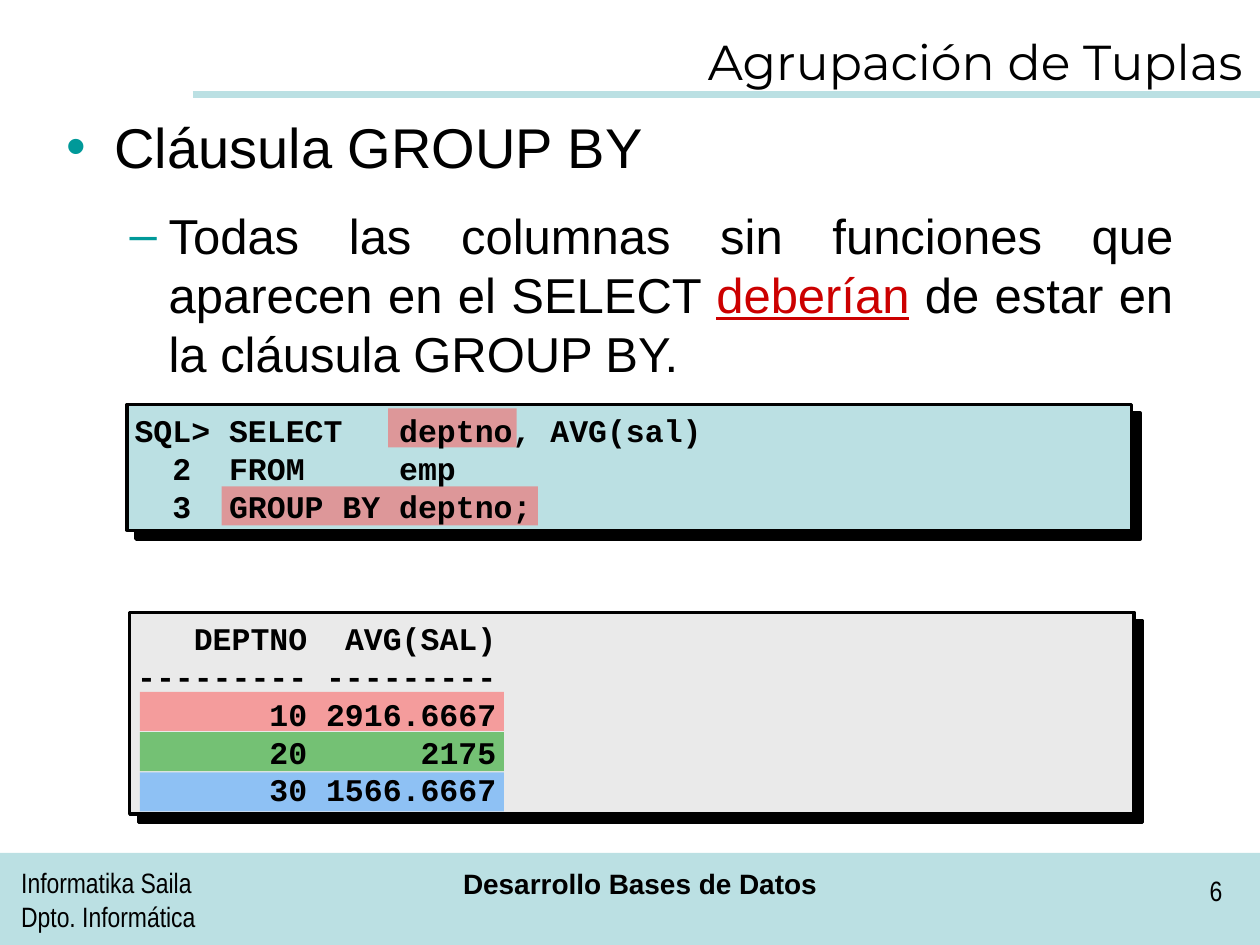
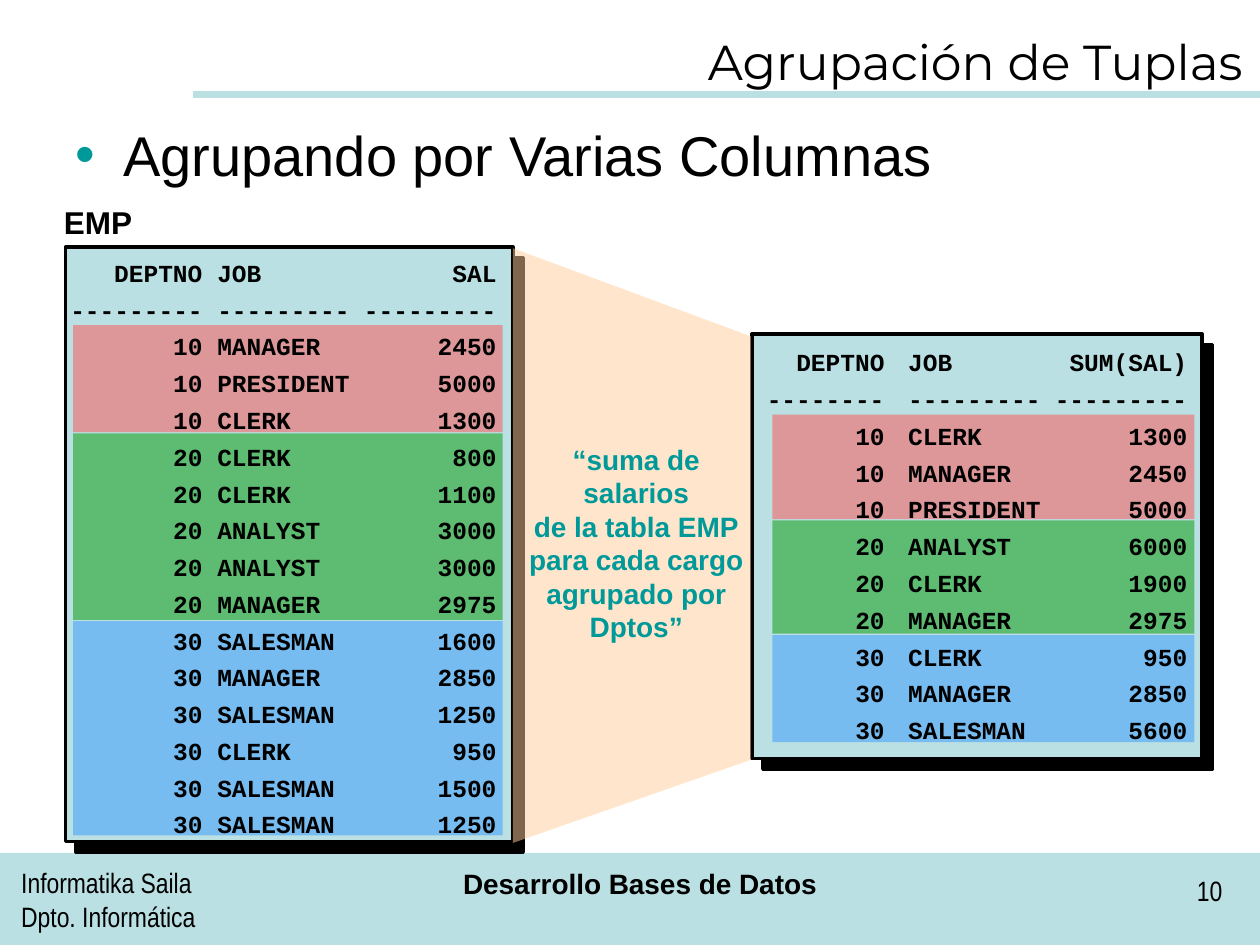
from lxml import etree
from pptx import Presentation
from pptx import util as u
from pptx.dml.color import RGBColor
from pptx.enum import shapes, text
from pptx.oxml import ns

# The slide is a grid of 10 columns by 7.5 rows of square cells
COLS, ROWS = 10, 7.5
CELL = u.Inches(1)
COLOURS = {
    "ink": "000000", "band": "BBE0E3", "result": "EAEAEA", "accent": "009999",
    "alert": "CC0000", "funnel": "FFCC99",
    "dept10": "FF5050", "dept20": "009900", "dept30": "3399FF",
}
SANS, NARROW, MONO, TITLE = "Arial", "Arial Narrow", "Courier New", "Montserrat"
DEPTS = ("dept10", "dept20", "dept30")
LEFT, CENTER = text.PP_ALIGN.LEFT, text.PP_ALIGN.CENTER
RIGHT, JUSTIFY = text.PP_ALIGN.RIGHT, text.PP_ALIGN.JUSTIFY
TOP, MIDDLE = text.MSO_ANCHOR.TOP, text.MSO_ANCHOR.MIDDLE

# Query, result and table rows; a tab moves to the next column stop
QUERY = ["SQL>\tSELECT\tdeptno, AVG(sal)", "\t2\tFROM\temp", "\t3\tGROUP BY\tdeptno;"]
QUERY_STOPS = [(3, "r"), (5, "l"), (14, "l")]
AVERAGES = [("DEPTNO", "AVG(SAL)"), ("-" * 9, "-" * 9),
            ("10", "2916.6667"), ("20", "2175"), ("30", "1566.6667")]
AVERAGE_STOPS = [(9, "r"), (19, "r")]
EMP = [
    ("DEPTNO", "JOB", "SAL"), ("-" * 9, "-" * 9, "-" * 9),
    ("10", "MANAGER", "2450"), ("10", "PRESIDENT", "5000"), ("10", "CLERK", "1300"),
    ("20", "CLERK", "800"), ("20", "CLERK", "1100"), ("20", "ANALYST", "3000"),
    ("20", "ANALYST", "3000"), ("20", "MANAGER", "2975"),
    ("30", "SALESMAN", "1600"), ("30", "MANAGER", "2850"), ("30", "SALESMAN", "1250"),
    ("30", "CLERK", "950"), ("30", "SALESMAN", "1500"), ("30", "SALESMAN", "1250"),
]
EMP_STOPS = [(9, "r"), (10, "l"), (29, "r")]
SUMS = [
    ("DEPTNO", "JOB", "SUM(SAL)"), ("-" * 8, "-" * 9, "-" * 9),
    ("10", "CLERK", "1300"), ("10", "MANAGER", "2450"), ("10", "PRESIDENT", "5000"),
    ("20", "ANALYST", "6000"), ("20", "CLERK", "1900"), ("20", "MANAGER", "2975"),
    ("30", "CLERK", "950"), ("30", "MANAGER", "2850"), ("30", "SALESMAN", "5600"),
]
SUM_STOPS = [(19, "r")]


def cells(*lengths):
    return [round(n * CELL) for n in lengths]


def rgb(name):
    return RGBColor.from_string(COLOURS[name])


def sub(parent, tag, **attrs):
    return etree.SubElement(parent, ns.qn(tag), {k: str(v) for k, v in attrs.items()})


def paint(sp, fill, alpha=None):
    """Fill a shape, without line or shadow."""
    sp.shadow.inherit = False
    sp.line.fill.background()
    sp.fill.solid()
    sp.fill.fore_color.rgb = rgb(fill)
    if alpha:
        clr = sp._element.spPr.find(ns.qn("a:solidFill"))[0]
        sub(clr, "a:alpha", val=alpha * 1000)


def add_rect(s, box, fill, alpha=None):
    sp = s.shapes.add_shape(shapes.MSO_SHAPE.RECTANGLE, *cells(*box))
    paint(sp, fill, alpha)
    return sp


def add_panel(s, box, fill, distance):
    """Outlined box with a hard black shadow to the lower right."""
    sp = add_rect(s, box, fill)
    sp.line.color.rgb = rgb("ink")
    sp.line.width = u.Pt(2)
    effects = sp._element.spPr.find(ns.qn("a:effectLst"))
    shadow = sub(effects, "a:outerShdw", dist=u.Pt(distance), dir=45 * 60000,
                 algn="ctr", rotWithShape=0)
    sub(shadow, "a:srgbClr", val=COLOURS["ink"])


def add_bands(s, left, top, width, heights):
    """One translucent band per department, stacked with a thin gap."""
    for dept, height in zip(DEPTS, heights):
        add_rect(s, (left, top, width, height), dept, 50)
        top += height + 0.01


def add_frame(s, box, anchor=TOP):
    tf = s.shapes.add_textbox(*cells(*box)).text_frame
    tf.word_wrap = True
    tf.vertical_anchor = anchor
    return tf


def add_tabs(p, stops, size):
    """Tab stops given in characters of the monospaced font (0.6 em wide)."""
    tabs = sub(p._p.get_or_add_pPr(), "a:tabLst")
    for chars, align in stops:
        sub(tabs, "a:tab", pos=u.Pt(chars * size * 0.6), algn=align)


def add_text(s, box, lines, size, font=SANS, bold=False, colour="ink", align=LEFT,
             anchor=TOP, spacing=None, stops=()):
    tf = add_frame(s, box, anchor)
    if stops:
        tf.margin_right = 0
    for i, line in enumerate(lines):
        p = tf.paragraphs[0] if i == 0 else tf.add_paragraph()
        p.add_run().text = line
        if stops:
            add_tabs(p, stops, size)
        p.alignment = align
        if spacing:
            p.line_spacing = spacing
        p.font.size, p.font.name, p.font.bold = u.Pt(size), font, bold
        p.font.color.rgb = rgb(colour)


def add_listing(s, box, rows, size, stops=(), **style):
    add_text(s, box, rows, size, MONO, True, stops=stops, **style)


def columns(rows):
    """Rows whose first column also hangs on a tab stop."""
    return ["\t" + "\t".join(row) for row in rows]


def add_bullet(p, runs, char, size, margin, indent, gap, align=LEFT):
    pPr = p._p.get_or_add_pPr()
    pPr.set("marL", str(u.Inches(margin)))
    pPr.set("indent", str(u.Inches(-indent)))
    sub(sub(pPr, "a:buClr"), "a:srgbClr", val=COLOURS["accent"])
    sub(pPr, "a:buFont", typeface=SANS)
    sub(pPr, "a:buChar", char=char)
    p.alignment = align
    p.space_before = p.space_after = u.Pt(gap)
    p.font.size, p.font.name = u.Pt(size), SANS
    for words, colour in runs:
        r = p.add_run()
        r.text = words
        r.font.color.rgb = rgb(colour)
        if colour == "alert":
            r.font.underline = True


def add_heading(s, box, words):
    tf = add_frame(s, box)
    add_bullet(tf.paragraphs[0], [(words, "ink")], "•", 32, 0.38, 0.38, 8)
    return tf


def add_base(prs, number):
    """Title, rule and footer shared by the slides."""
    s = prs.slides.add_slide(prs.slide_layouts[6])
    add_rect(s, (0, 6.77, COLS, ROWS - 6.77), "band")
    rule = s.shapes.add_connector(shapes.MSO_CONNECTOR.STRAIGHT,
                                  *cells(1.53, 0.75, COLS, 0.75))
    rule.line.color.rgb = rgb("band")
    rule.line.width = u.Pt(4)
    sub(rule._element.spPr, "a:effectLst")
    add_text(s, (0.07, 6.82, 2.33, 0.52), ["Informatika Saila", "Dpto. Informática"],
             16, NARROW)
    add_text(s, (3.11, 6.83, 3.94, 0.52), ["Desarrollo Bases de Datos"], 16,
             bold=True, align=CENTER)
    add_text(s, (8.54, 6.88, 1.26, 0.52), [str(number)], 16, NARROW, align=RIGHT)
    add_text(s, (0.67, 0.05, 9.29, 0.86), ["Agrupación de Tuplas"], 28, TITLE,
             align=RIGHT, anchor=MIDDLE)
    return s


def add_funnel(s, points):
    pts = [cells(*point) for point in points]
    outline = s.shapes.build_freeform(*pts[0])
    outline.add_line_segments(pts[1:], close=True)
    paint(outline.convert_to_shape(), "funnel", 50)


def group_by_slide(prs):
    s = add_base(prs, 6)
    # Query and result panels with their highlights
    add_panel(s, (1.01, 3.21, 7.97, 1), "band", 7.1)
    add_panel(s, (1.03, 4.86, 7.97, 1.6), "result", 7.1)
    for box in ((1.76, 3.86, 2.51, 0.31), (3.08, 3.24, 1.02, 0.31)):
        add_rect(s, box, "dept10", 50)
    add_bands(s, 1.11, 5.49, 2.89, [0.31] * 3)
    add_listing(s, (0.97, 3.2, 8, 1.03), QUERY, 18, QUERY_STOPS, anchor=MIDDLE)
    add_listing(s, (0.99, 4.85, 8, 1.63), columns(AVERAGES), 18, AVERAGE_STOPS,
                anchor=MIDDLE)
    # Explanation
    tf = add_heading(s, (0.43, 0.84, 8.98, 2.52), "Cláusula GROUP BY")
    rule = [("Todas las columnas sin funciones que aparecen en el SELECT ", "ink"),
            ("deberían", "alert"),
            (" de estar en la cláusula GROUP BY.", "ink")]
    add_bullet(tf.add_paragraph(), rule, "–", 28, 0.81, 0.31, 7, JUSTIFY)


def several_columns_slide(prs):
    s = add_base(prs, 10)
    add_heading(s, (0.5, 0.91, 9, 0.8), "Agrupando por Varias Columnas")
    # Source and summary panels joined by the funnel
    add_panel(s, (0.52, 1.96, 3.55, 4.72), "band", 8.5)
    add_panel(s, (5.97, 2.65, 3.57, 3.37), "band", 8.5)
    add_text(s, (0.41, 1.56, 0.9, 0.4), ["EMP"], 18, bold=True)
    add_funnel(s, [(4.07, 6.69), (4.07, 1.97), (5.96, 2.67), (5.96, 6.03)])
    add_text(s, (4.07, 3.46, 1.96, 1.7),
             ["“suma de", "salarios", "de la tabla EMP", "para cada cargo",
              "agrupado por", "Dptos”"],
             16, bold=True, colour="accent", align=CENTER)
    # Department bands and rows
    add_bands(s, 0.58, 2.58, 3.41, [0.85, 1.48, 1.7])
    add_bands(s, 6.13, 3.29, 3.35, [0.83, 0.9, 0.85])
    add_listing(s, (0.46, 1.94, 3.6, 4.77), columns(EMP), 14, EMP_STOPS, spacing=1.25)
    add_listing(s, (5.98, 2.65, 1.14, 3.31), [row[0] for row in SUMS], 14,
                align=RIGHT, spacing=1.25)
    add_listing(s, (7.11, 2.65, 2.43, 3.31), ["\t".join(row[1:]) for row in SUMS], 14,
                SUM_STOPS, spacing=1.25)


def main():
    prs = Presentation()
    prs.slide_width, prs.slide_height = cells(COLS, ROWS)
    group_by_slide(prs)
    several_columns_slide(prs)
    prs.save("out.pptx")


if __name__ == "__main__":
    main()
